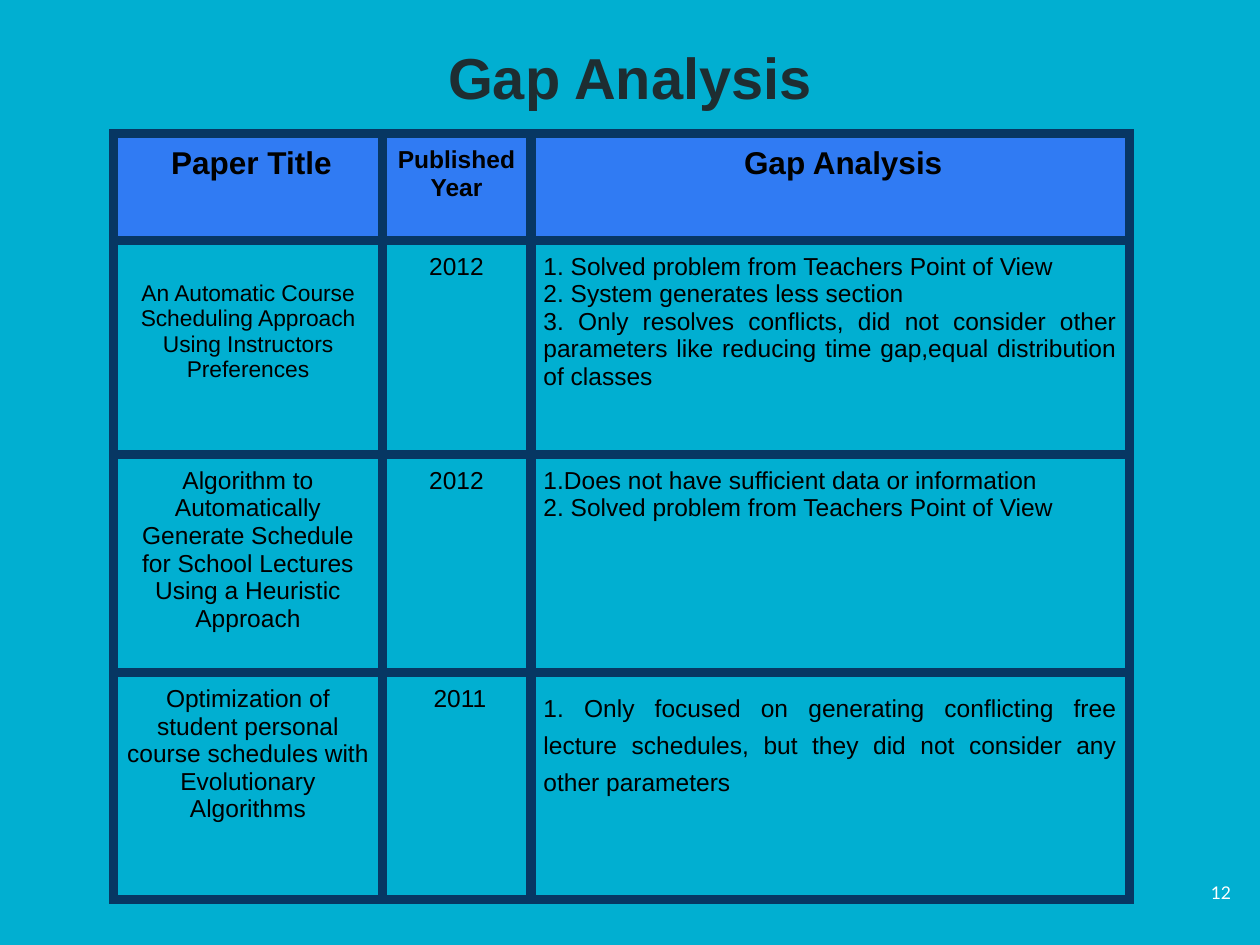
from lxml import etree
from pptx import Presentation
from pptx.dml.color import RGBColor
from pptx.enum.text import MSO_ANCHOR, PP_ALIGN
from pptx.oxml.ns import qn
from pptx.util import Pt

LEFT, CENTER, RIGHT, JUSTIFY = (PP_ALIGN.LEFT, PP_ALIGN.CENTER,
                                PP_ALIGN.RIGHT, PP_ALIGN.JUSTIFY)
TOP, MIDDLE = MSO_ANCHOR.TOP, MSO_ANCHOR.MIDDLE

COLORS = {"back": "01AFD1", "header": "307BF3", "border": "073763",
          "title": "1E2D31", "text": "000000", "number": "FFFFFF"}
INSET = 7.2
BORDER = 6
COL_WIDTHS = [153.4, 85, 342]
ROW_HEIGHTS = [61, 122.4, 124.6, 129.6]


def cell_text(*lines, size=14, align=CENTER, bold=False, left=0, top=0, spacing=None):
    """Describe one cell: left and top are added to the usual inset."""
    return {"lines": lines, "size": size, "align": align, "bold": bold,
            "left": left, "top": top, "spacing": spacing}


ROWS = [
    [cell_text("Paper Title", size=18, bold=True, left=4),
     cell_text("Published Year", bold=True),
     cell_text("Gap Analysis", size=18, bold=True, left=15)],
    [cell_text("An Automatic Course Scheduling Approach Using Instructors Preferences",
               size=13, top=16),
     cell_text("2012"),
     cell_text("1. Solved problem from Teachers Point of View",
               "2. System generates less section",
               "3. Only resolves conflicts, did not consider other parameters like "
               "reducing time gap,equal distribution of classes", align=JUSTIFY)],
    [cell_text("Algorithm to Automatically Generate Schedule for School Lectures "
               "Using a Heuristic Approach"),
     cell_text("2012"),
     cell_text("1.Does not have sufficient data or information",
               "2. Solved problem from Teachers Point of View", align=LEFT)],
    [cell_text("Optimization of student personal course schedules with "
               "Evolutionary Algorithms"),
     cell_text("2011", left=4),
     cell_text("1. Only focused on generating conflicting free lecture schedules, "
               "but they did not consider any other parameters",
               align=JUSTIFY, spacing=1.35)],
]


def rgb(name):
    return RGBColor.from_string(COLORS[name])


def add_run(p, text, size, color, bold=False, font="Arial"):
    r = p.add_run()
    r.text = text
    r.font.name = font
    r.font.size = Pt(size)
    r.font.bold = bold
    r.font.color.rgb = rgb(color)


def add_label(s, box, text, size, color, align, anchor=TOP, bold=False, font="Arial"):
    tf = s.shapes.add_textbox(*(Pt(v) for v in box)).text_frame
    tf.word_wrap = True
    tf.vertical_anchor = anchor
    tf.margin_left = tf.margin_right = tf.margin_top = tf.margin_bottom = Pt(INSET)
    p = tf.paragraphs[0]
    p.alignment = align
    add_run(p, text, size, color, bold, font)


def set_borders(cell):
    tc_pr = cell._tc.get_or_add_tcPr()
    # Border lines come before the fill
    for i, side in enumerate(("a:lnL", "a:lnR", "a:lnT", "a:lnB")):
        ln = etree.Element(qn(side), w=str(Pt(BORDER)))
        fill = etree.SubElement(ln, qn("a:solidFill"))
        etree.SubElement(fill, qn("a:srgbClr"), val=COLORS["border"])
        tc_pr.insert(i, ln)


def fill_cell(cell, content, is_header):
    if is_header:
        cell.fill.solid()
        cell.fill.fore_color.rgb = rgb("header")
    else:
        cell.fill.background()
    set_borders(cell)
    cell.vertical_anchor = TOP
    cell.margin_left = Pt(INSET + content["left"])
    cell.margin_top = Pt(INSET + content["top"])
    cell.margin_right = cell.margin_bottom = Pt(INSET)
    tf = cell.text_frame
    for i, line in enumerate(content["lines"]):
        p = tf.paragraphs[0] if i == 0 else tf.add_paragraph()
        p.alignment = content["align"]
        if content["spacing"]:
            p.line_spacing = content["spacing"]
        add_run(p, line, content["size"], "text", content["bold"])


def add_gap_table(s, left, top):
    frame = s.shapes.add_table(len(ROWS), len(COL_WIDTHS), Pt(left), Pt(top),
                               Pt(sum(COL_WIDTHS)), Pt(sum(ROW_HEIGHTS)))
    table = frame.table
    table.first_row = table.horz_banding = False
    for column, width in zip(table.columns, COL_WIDTHS):
        column.width = Pt(width)
    for i, (row, height) in enumerate(zip(table.rows, ROW_HEIGHTS)):
        row.height = Pt(height)
        for cell, content in zip(row.cells, ROWS[i]):
            fill_cell(cell, content, is_header=i == 0)


def main():
    prs = Presentation()
    prs.slide_width, prs.slide_height = Pt(720), Pt(540)
    s = prs.slides.add_slide(prs.slide_layouts[6])
    s.background.fill.solid()
    s.background.fill.fore_color.rgb = rgb("back")

    # Page number
    add_label(s, (667.4, 489.6, 43.2, 41), "12", 10, "number", RIGHT, MIDDLE, font="Lato")
    # Papers and their gaps
    add_gap_table(s, 65, 76.4)
    # Title
    add_label(s, (0, 16.6, 720, 54.7), "Gap Analysis", 33, "title", CENTER, bold=True)

    prs.save("out.pptx")


if __name__ == "__main__":
    main()
